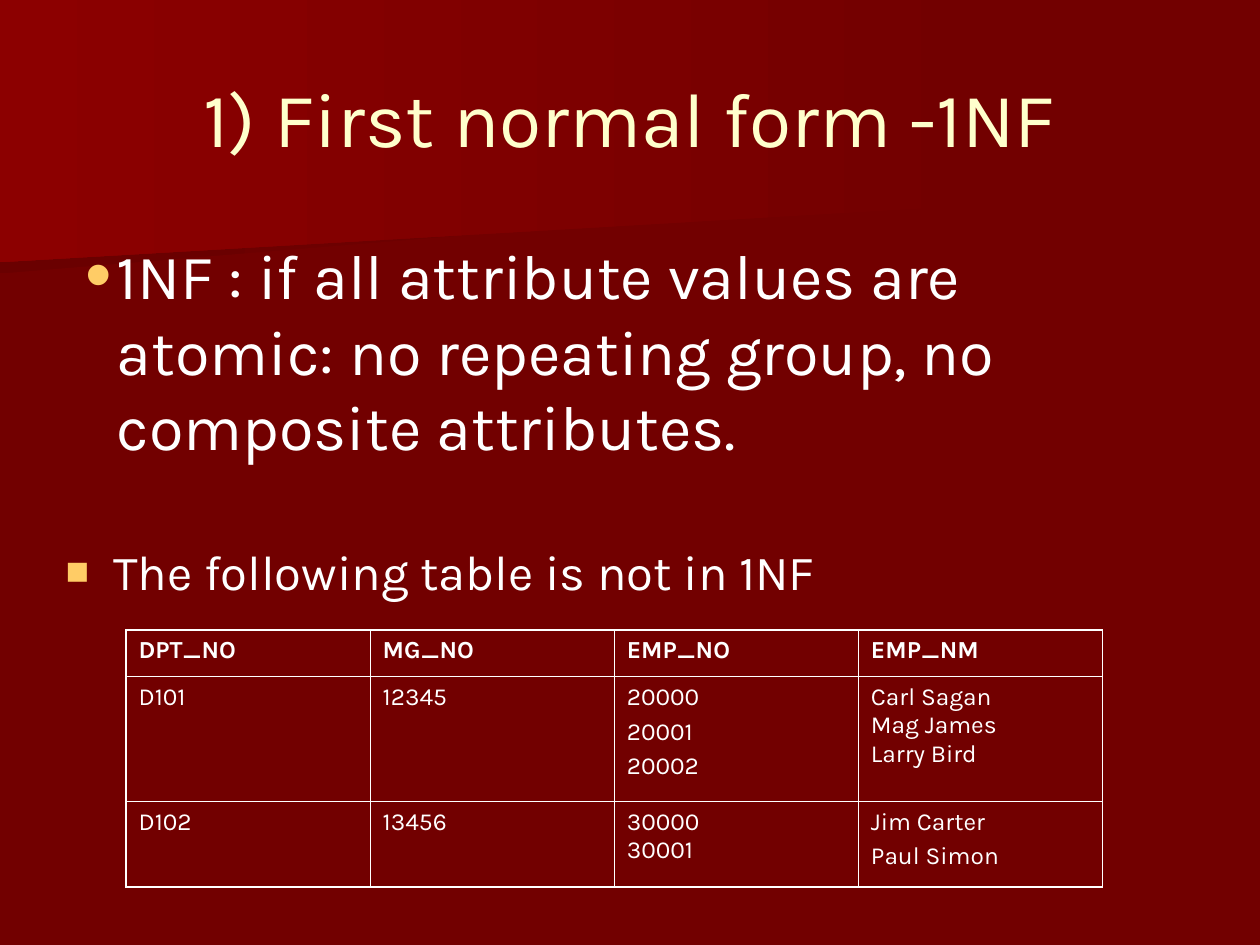
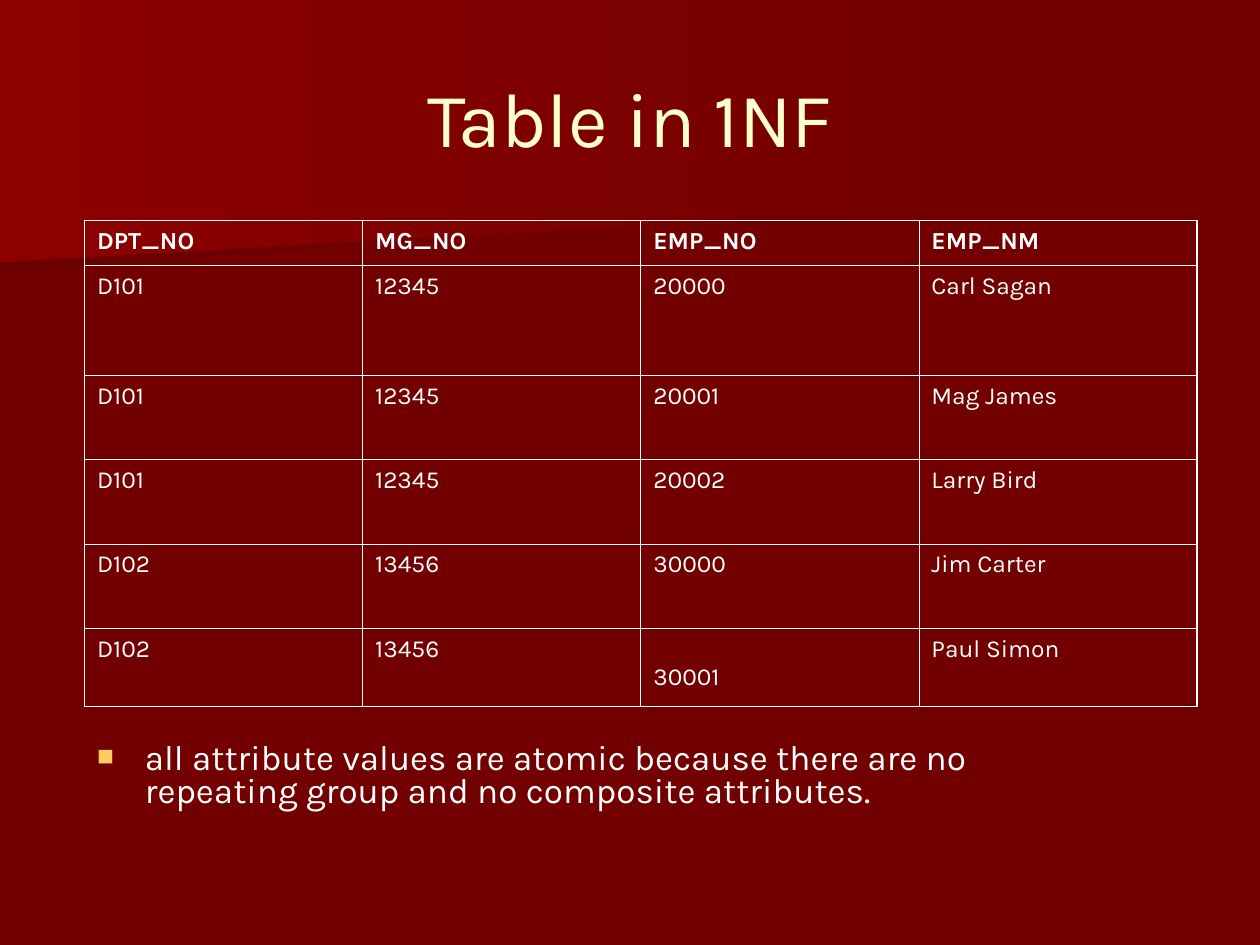
from copy import deepcopy

from lxml.etree import SubElement
from pptx import Presentation
from pptx.dml.color import RGBColor
from pptx.enum.text import MSO_ANCHOR, MSO_AUTO_SIZE, PP_ALIGN
from pptx.oxml import parse_xml
from pptx.oxml.ns import nsdecls, qn
from pptx.util import Inches, Pt

FONT = "Karla"
BACKGROUND, WHITE, CREAM, GOLD = "720000", "FFFFFF", "FFFFCC", "FFCC66"
rgb = RGBColor.from_string


def add_text(paragraph, text, size, color=WHITE, bold=False, before=0):
    """Write the text one run per line, with line breaks between them."""
    paragraph.space_before = Pt(before)
    for number, line in enumerate(text.split("\v")):
        if number:
            paragraph.add_line_break()
            paragraph._p[-1].append(deepcopy(run._r.rPr))
        run = paragraph.add_run()
        run.text = line
        run.font.name, run.font.size, run.font.bold = FONT, Pt(size), bold
        run.font.color.rgb = rgb(color)


def add_bullet(paragraph, char, percent, indent):
    props = paragraph._p.get_or_add_pPr()
    props.set("marL", str(Inches(indent)))
    props.set("indent", str(-Inches(indent)))
    SubElement(SubElement(props, qn("a:buClr")), qn("a:srgbClr"), val=GOLD)
    SubElement(props, qn("a:buSzPct"), val=str(percent * 1000))
    SubElement(props, qn("a:buFont"), typeface="Arial")
    SubElement(props, qn("a:buChar"), char=char)


HEADER = ["DPT_NO", "MG_NO", "EMP_NO", "EMP_NM"]

# "\n" starts a paragraph in a cell, "\v" a line
SLIDES = [
    {
        "title": "1) First normal form -1NF",
        "point": "The following table is not in 1NF",
        "point_box": (0.42, 4.25, 8.5, 0.58),
        "point_style": (28, 7, 1.0),
        "table_box": (1, 5, 7.75, 2.04),
        "row_heights": [0.37, 0.99, 0.68],
        "rows": [
            ["D101", "12345", "20000\n20001\n20002", "Carl Sagan\vMag James\vLarry Bird"],
            ["D102", "13456", "30000\v30001", "Jim Carter\nPaul Simon"],
        ],
    },
    {
        "title": "Table in 1NF",
        "point": "all attribute values are atomic because there are no "
                 "repeating group and no composite attributes.",
        "point_box": (0.67, 5.85, 8.17, 0.73),
        "point_style": (20, 5, 0.8),
        "table_box": (0.67, 1.75, 8.83, 3.86),
        "row_heights": [0.36, 0.87, 0.67, 0.67, 0.67, 0.62],
        "rows": [
            ["D101", "12345", "20000", "Carl Sagan"],
            ["D101", "12345", "20001", "Mag James"],
            ["D101", "12345", "20002", "Larry Bird"],
            ["D102", "13456", "30000", "Jim Carter"],
            ["D102", "13456", "30001", "Paul Simon"],
        ],
    },
]

prs = Presentation()
prs.slide_width, prs.slide_height = Inches(10), Inches(7.5)
master = prs.slide_master
master.background.fill.solid()
master.background.fill.fore_color.rgb = rgb(BACKGROUND)
pages = [prs.slides.add_slide(prs.slide_layouts[1]) for _ in SLIDES]

# Slanted bands, drawn once and moved to the master
BANDS = [
    ("6A0000", [(7.78, 1.53), (0, 2.17), (0, 1.01), (7.79, 1.01)]),
    ("8C0000", [(7.92, 1.62), (0, 2.08), (0, 0), (7.92, 0)]),
]
for left_color, corners in BANDS:
    points = [(Inches(x), Inches(y)) for x, y in corners]
    outline = pages[0].shapes.build_freeform(*points[0])
    outline.add_line_segments(points[1:], close=True)
    band = outline.convert_to_shape()
    band.shadow.inherit = False
    band.line.fill.background()
    band.fill.gradient()
    band.fill.gradient_angle = 180
    for stop, color in zip(band.fill.gradient_stops, (BACKGROUND, left_color)):
        stop.color.rgb = rgb(color)
    master.placeholders[0].element.addprevious(band.element)

for page, content in zip(pages, SLIDES):
    # Title
    title = page.shapes.title
    title.left, title.top, title.width, title.height = map(Inches, (0.5, 0.3, 9, 1.25))
    title.text_frame.vertical_anchor = MSO_ANCHOR.MIDDLE
    title.text_frame.auto_size = MSO_AUTO_SIZE.NONE
    heading = title.text_frame.paragraphs[0]
    heading.alignment = PP_ALIGN.CENTER
    add_text(heading, content["title"], 44, CREAM)

    # Bullet point
    point = page.placeholders[1]
    point.left, point.top, point.width, point.height = map(Inches, content["point_box"])
    point.text_frame.auto_size = MSO_AUTO_SIZE.NONE
    size, before, spacing = content["point_style"]
    remark = point.text_frame.paragraphs[0]
    remark.line_spacing = spacing
    add_text(remark, content["point"], size, before=before)
    add_bullet(remark, "■", 80, 0.38)

    # Employee table
    rows = [HEADER] + content["rows"]
    last_row, last_col = len(rows) - 1, len(HEADER) - 1
    employees = page.shapes.add_table(
        len(rows), len(HEADER), *map(Inches, content["table_box"])).table
    employees.horz_banding = False
    for row, height in zip(employees.rows, content["row_heights"]):
        row.height = Inches(height)
    for r, values in enumerate(rows):
        for c, value in enumerate(values):
            cell = employees.cell(r, c)
            cell.fill.background()
            for number, text in enumerate(value.split("\n")):
                frame = cell.text_frame
                entry = frame.add_paragraph() if number else frame.paragraphs[0]
                add_text(entry, text, 14, bold=r == 0, before=3.5)
            # Outer edges are thicker than inner ones
            edges = {"L": c == 0, "R": c == last_col, "T": r == 0, "B": r == last_row}
            for place, (side, is_outer) in enumerate(edges.items()):
                width = Pt(1.08 if is_outer else 0.45)
                cell._tc.get_or_add_tcPr().insert(place, parse_xml(
                    f'<a:ln{side} {nsdecls("a")} w="{width}"><a:solidFill>'
                    f'<a:srgbClr val="{WHITE}"/></a:solidFill></a:ln{side}>'))

# The last employee number on the second slide sits one line lower
employees.cell(last_row, 2).margin_top = Inches(0.27)

# Definition of 1NF on the first slide
definition = pages[0].shapes.add_textbox(*map(Inches, (0.58, 1.83, 8.17, 1.9)))
definition.text_frame.word_wrap = True
definition.text_frame.auto_size = MSO_AUTO_SIZE.SHAPE_TO_FIT_TEXT
rule = definition.text_frame.paragraphs[0]
add_text(rule, "1NF : if all attribute values are atomic: no repeating group, "
               "no composite attributes.", 36, before=9)
add_bullet(rule, "•", 120, 0.25)

prs.save("out.pptx")
